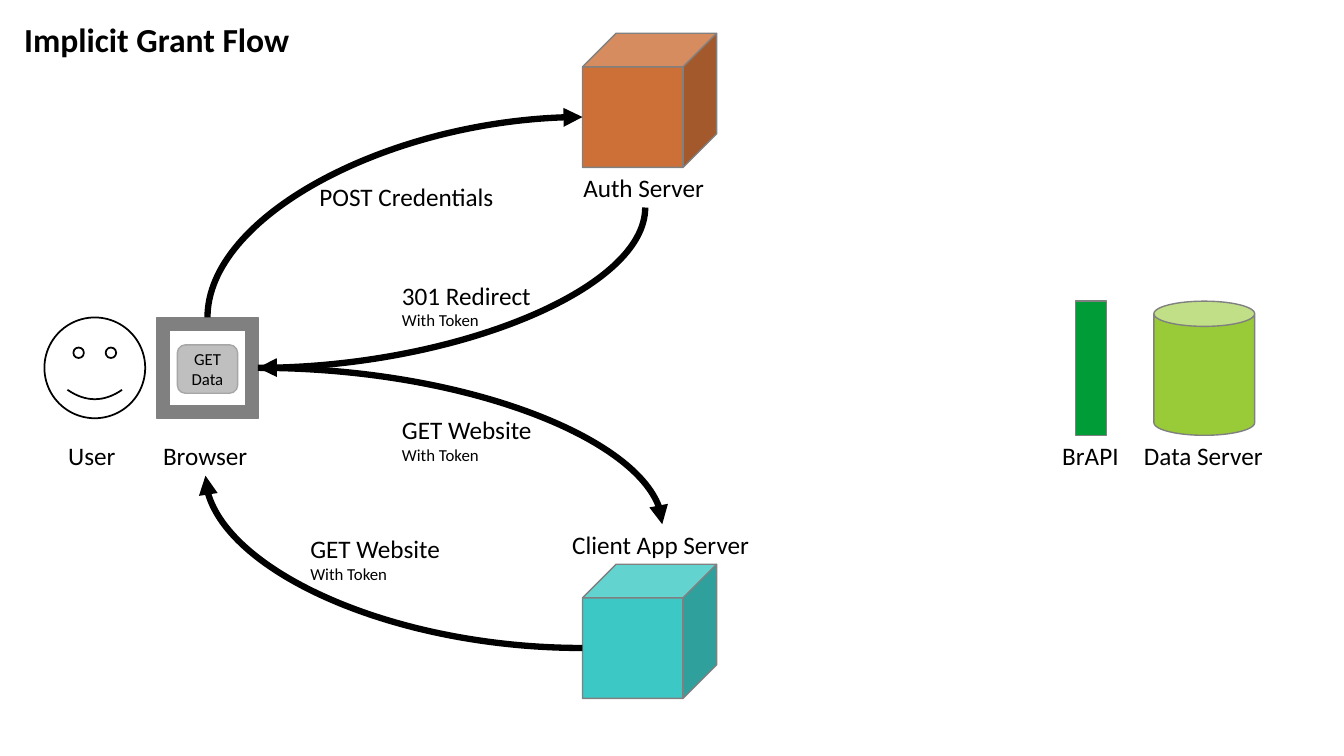
from lxml import etree
from pptx import Presentation
from pptx.dml.color import RGBColor
from pptx.enum.shapes import MSO_CONNECTOR, MSO_SHAPE
from pptx.enum.text import MSO_ANCHOR, MSO_AUTO_SIZE, PP_ALIGN
from pptx.oxml.ns import qn
from pptx.util import Cm, Pt

FACE, FRAME, CUBE = MSO_SHAPE.SMILEY_FACE, MSO_SHAPE.FRAME, MSO_SHAPE.CUBE
CAN, BAR, BUTTON = MSO_SHAPE.CAN, MSO_SHAPE.RECTANGLE, MSO_SHAPE.ROUNDED_RECTANGLE
CURVE = MSO_CONNECTOR.CURVE
MIDDLE, CENTER = MSO_ANCHOR.MIDDLE, PP_ALIGN.CENTER
GROW = MSO_AUTO_SIZE.SHAPE_TO_FIT_TEXT
FONT, BLACK, GREY = "Calibri", "000000", "808080"
LABEL_SIZE, NOTE_SIZE, TITLE_SIZE = 18, 12, 24
ICON, TALL = 2.54, 3.38
CAPTION_TOP = 10.97

# Content: lengths in centimetres
TITLE = ("Implicit Grant Flow", 0.36, 0.36, 7.26)

# preset, left, top, width, height, fill, line colour, line width
ACTORS = [
    (FACE, 1.12, 8, ICON, ICON, None, BLACK, 1.25),
    (FRAME, 3.96, 8, ICON, ICON, GREY, GREY, 1),
    (CUBE, 14.68, 0.84, TALL, TALL, "CD7037", GREY, 1),
    (CUBE, 14.68, 14.22, TALL, TALL, "3CC8C5", GREY, 1),
    (CAN, 29.08, 7.59, ICON, TALL, "99CB38", GREY, 1),
    (BAR, 27.1, 7.59, 0.79, TALL, "009C38", GREY, 1),
]
GET_DATA = (BUTTON, 4.47, 8.69, 1.52, 1.22, "BFBFBF", "A6A6A6", 1)
GET_DATA_LINES = ["GET", "Data"]

# text, left, top, width
CAPTIONS = [
    ("User", 1.47, CAPTION_TOP, 1.73),
    ("Browser", 3.86, CAPTION_TOP, 2.64),
    ("Auth Server", 14.45, 4.22, 3.58),
    ("Client App Server", 14.17, 13.21, 5.03),
    ("Data Server", 28.58, CAPTION_TOP, 3.53),
    ("BrAPI", 26.52, CAPTION_TOP, 1.93),
]

# lines, left, top, width of the label; start, end, whether it leaves vertically
REQUESTS = [
    (["POST Credentials"], 7.8, 4.45, 4.95, (5.23, 8), (14.68, 2.95), True),
    (["301 Redirect", "With Token"], 9.88, 6.93, 3.81, (16.26, 5.23), (6.5, 9.27), True),
    (["GET Website", "With Token"], 9.88, 10.31, 3.81, (6.5, 9.27), (16.69, 13.21), False),
    (["GET Website", "With Token"], 7.57, 13.31, 3.81, (14.68, 16.33), (5.18, 11.99), False),
]

presentation = Presentation()
presentation.slide_width, presentation.slide_height = Cm(33.87), Cm(19.05)
slide = presentation.slides.add_slide(presentation.slide_layouts[6])


def color(hex_code):
    return RGBColor.from_string(hex_code)


def write(frame, lines, sizes, bold=False, align=None):
    for index, (line, size) in enumerate(zip(lines, sizes)):
        paragraph = frame.add_paragraph() if index else frame.paragraphs[0]
        paragraph.text = line
        paragraph.alignment = align
        font = paragraph.font
        font.name, font.size, font.bold = FONT, Pt(size), bold
        font.color.rgb = color(BLACK)


def add_text(lines, left, top, width, height=1.02, sizes=(LABEL_SIZE, NOTE_SIZE), bold=False):
    box = slide.shapes.add_textbox(Cm(left), Cm(top), Cm(width), Cm(height))
    box.text_frame.word_wrap = False
    box.text_frame.auto_size = GROW
    write(box.text_frame, lines, sizes, bold)


def add_shape(preset, left, top, width, height, fill, line, line_width):
    shape = slide.shapes.add_shape(preset, Cm(left), Cm(top), Cm(width), Cm(height))
    shape.shadow.inherit = False
    if fill:
        shape.fill.solid()
        shape.fill.fore_color.rgb = color(fill)
    else:
        shape.fill.background()
    shape.line.color.rgb = color(line)
    shape.line.width = Pt(line_width)
    return shape


def add_curve(start, end, leaves_vertically):
    (x1, y1), (x2, y2) = start, end
    if leaves_vertically:
        # The preset leaves horizontally: turn the ends back, then rotate by 90 degrees
        middle_x, middle_y = (x1 + x2) / 2, (y1 + y2) / 2
        half_x, half_y = (y2 - y1) / 2, (x1 - x2) / 2
        x1, y1 = middle_x - half_x, middle_y - half_y
        x2, y2 = middle_x + half_x, middle_y + half_y
    curve = slide.shapes.add_connector(CURVE, Cm(x1), Cm(y1), Cm(x2), Cm(y2))
    curve.line.color.rgb = color(BLACK)
    curve.line.width = Pt(4.5)
    properties = curve._element.spPr
    properties.find(qn("a:prstGeom")).set("prst", "curvedConnector2")
    if leaves_vertically:
        properties.find(qn("a:xfrm")).set("rot", "5400000")
    etree.SubElement(properties.find(qn("a:ln")), qn("a:tailEnd"), type="triangle")
    etree.SubElement(properties, qn("a:effectLst"))


# Actors and their captions
for actor in ACTORS:
    add_shape(*actor)
for text, *place in CAPTIONS:
    add_text([text], *place)

# Button inside the browser
button = add_shape(*GET_DATA)
button.text_frame.vertical_anchor = MIDDLE
write(button.text_frame, GET_DATA_LINES, [NOTE_SIZE] * 2, align=CENTER)

# Requests between the actors
for lines, left, top, width, start, end, leaves_vertically in REQUESTS:
    add_curve(start, end, leaves_vertically)
    add_text(lines, left, top, width, 1.02 if len(lines) == 1 else 1.55)

# Title
title, *title_place = TITLE
add_text([title], *title_place, height=1.27, sizes=[TITLE_SIZE], bold=True)

presentation.save("out.pptx")
